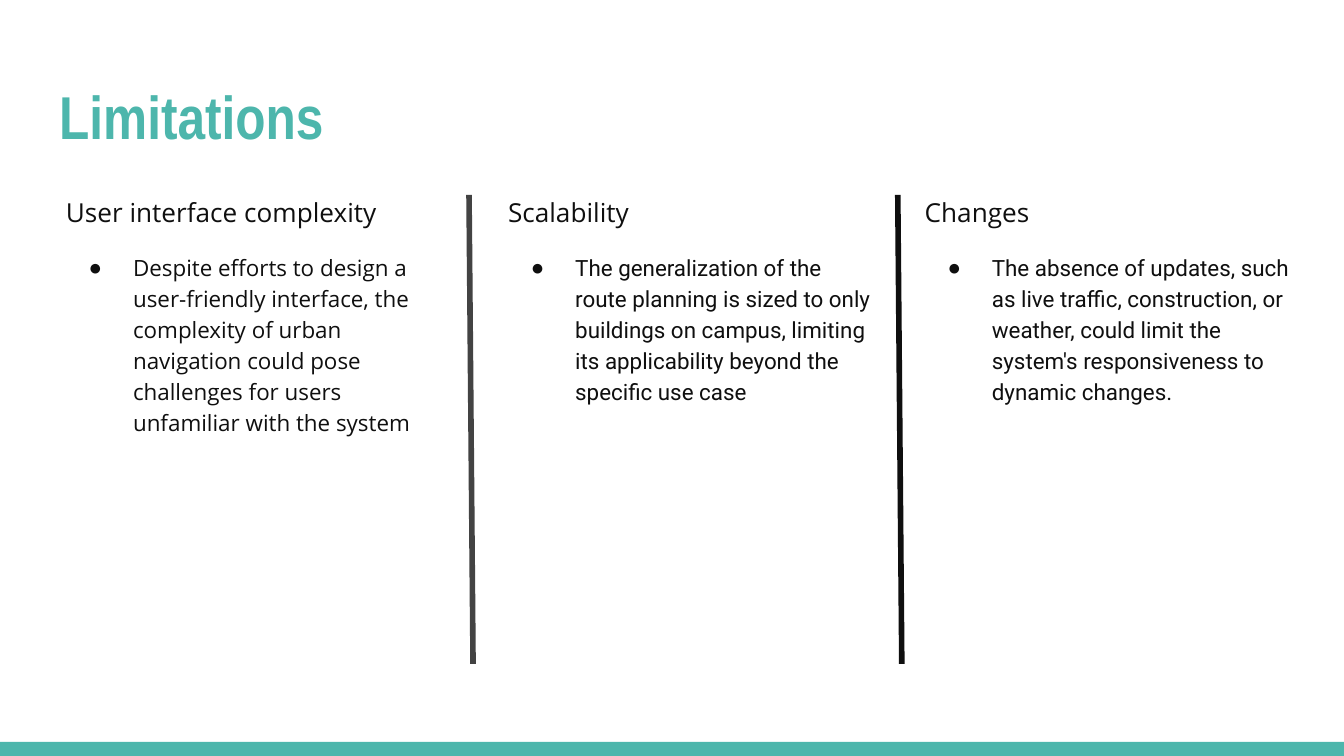
from lxml.etree import SubElement
from pptx import Presentation
from pptx.dml.color import RGBColor
from pptx.enum.shapes import MSO_CONNECTOR, MSO_SHAPE
from pptx.enum.text import MSO_ANCHOR, MSO_AUTO_SIZE, PP_ALIGN
from pptx.oxml.ns import qn
from pptx.util import Inches, Pt

COLORS = {"teal": "4DB6AC", "ink": "0F0F0F", "gray": "434343"}
PAGE_WIDTH = 10
PAGE_HEIGHT = PAGE_WIDTH * 9 / 16
BAND_TOP = 5.52
COLUMN_TOP, COLUMN_WIDTH, COLUMN_HEIGHT = 1.33, 2.93, 3.61
COLUMNS = [
    (0.39, "User interface complexity", "Open Sans",
     "Despite efforts to design a user-friendly interface, the complexity of "
     "urban navigation could pose challenges for users unfamiliar with the system"),
    (3.68, "Scalability", "Roboto",
     "The generalization of the route planning is sized to only buildings on "
     "campus, limiting its applicability beyond the specific use case"),
    (6.78, "Changes", "Roboto",
     "The absence of updates, such as live traffic, construction, or weather, "
     "could limit the system's responsiveness to dynamic changes."),
]
DIVIDERS = [(3.49, "gray"), (6.68, "ink")]


def color(name):
    """Return the named palette colour."""
    return RGBColor.from_string(COLORS[name])


def place(holder, left, top, width, height):
    """Move a placeholder into its box and return its text frame."""
    holder.left, holder.top = Inches(left), Inches(top)
    holder.width, holder.height = Inches(width), Inches(height)
    frame = holder.text_frame
    frame.margin_left = frame.margin_right = Inches(0.1)
    frame.margin_top = frame.margin_bottom = Inches(0.1)
    frame.word_wrap = True
    frame.auto_size = MSO_AUTO_SIZE.NONE
    frame.vertical_anchor = MSO_ANCHOR.TOP
    return frame


def style(para, font, size, color_name, bold=False):
    """Left-align a paragraph and format its runs."""
    para.alignment = PP_ALIGN.LEFT
    for span in para.runs:
        span.font.name = font
        span.font.size = Pt(size)
        span.font.bold = bold
        span.font.color.rgb = color(color_name)


def set_bullet(para, character=None):
    """Give a paragraph a hanging bullet, or none at all."""
    properties = para._p.get_or_add_pPr()
    properties.set("marL", str(Inches(0.5 if character else 0)))
    properties.set("indent", str(Inches(-0.33 if character else 0)))
    if character:
        bullet_color = SubElement(properties, qn("a:buClr"))
        SubElement(bullet_color, qn("a:srgbClr"), val=COLORS["ink"])
        SubElement(properties, qn("a:buChar"), char=character)
    else:
        SubElement(properties, qn("a:buNone"))


def add_title(holder, text, left, top, width, height):
    """Fill the title placeholder."""
    frame = place(holder, left, top, width, height)
    frame.text = text
    style(frame.paragraphs[0], "Arial Narrow", 32.4, "teal", bold=True)


def add_column(holder, heading, font, text, left, top, width, height):
    """Fill a body placeholder with a heading and one bulleted point."""
    frame = place(holder, left, top, width, height)
    frame.text = heading
    title, point = frame.paragraphs[0], frame.add_paragraph()
    point.text = text
    for para, space in ((title, 0), (point, 12)):
        para.line_spacing = 1.15
        para.space_before = Pt(space)
        para.space_after = Pt(0)
    style(title, "Open Sans", 14, "ink")
    style(point, font, 12, "ink")
    set_bullet(title)
    set_bullet(point, "●")


def add_divider(page, color_name, left, top, width, height):
    """Draw a slightly slanted rule from corner to corner of its box."""
    rule = page.shapes.add_connector(
        MSO_CONNECTOR.STRAIGHT, Inches(left), Inches(top),
        Inches(left + width), Inches(top + height))
    rule.line.color.rgb = color(color_name)
    rule.line.width = Pt(3)
    SubElement(rule._element.spPr, qn("a:effectLst"))


def add_footer_band(page, left, top, width, height):
    """Draw the coloured band along the bottom edge."""
    band = page.shapes.add_shape(
        MSO_SHAPE.RECTANGLE, Inches(left), Inches(top), Inches(width), Inches(height))
    band.shadow.inherit = False
    band.fill.solid()
    band.fill.fore_color.rgb = color("teal")
    band.line.fill.background()


def main():
    """Build and save the deck."""
    deck = Presentation()
    deck.slide_width, deck.slide_height = Inches(PAGE_WIDTH), Inches(PAGE_HEIGHT)
    page = deck.slides.add_slide(deck.slide_layouts.get_by_name("Comparison"))
    title, *bodies = page.placeholders
    add_footer_band(page, 0, BAND_TOP, PAGE_WIDTH, PAGE_HEIGHT - BAND_TOP)
    add_title(title, "Limitations", 0.34, 0.49, 9.32, 0.77)
    for holder, (left, heading, font, text) in zip(bodies, COLUMNS):
        add_column(holder, heading, font, text,
                   left, COLUMN_TOP, COLUMN_WIDTH, COLUMN_HEIGHT)
    for spare in bodies[len(COLUMNS):]:
        spare._element.getparent().remove(spare._element)
    for left, color_name in DIVIDERS:
        add_divider(page, color_name, left, 1.45, 0.03, 3.49)
    deck.save("out.pptx")


if __name__ == "__main__":
    main()
